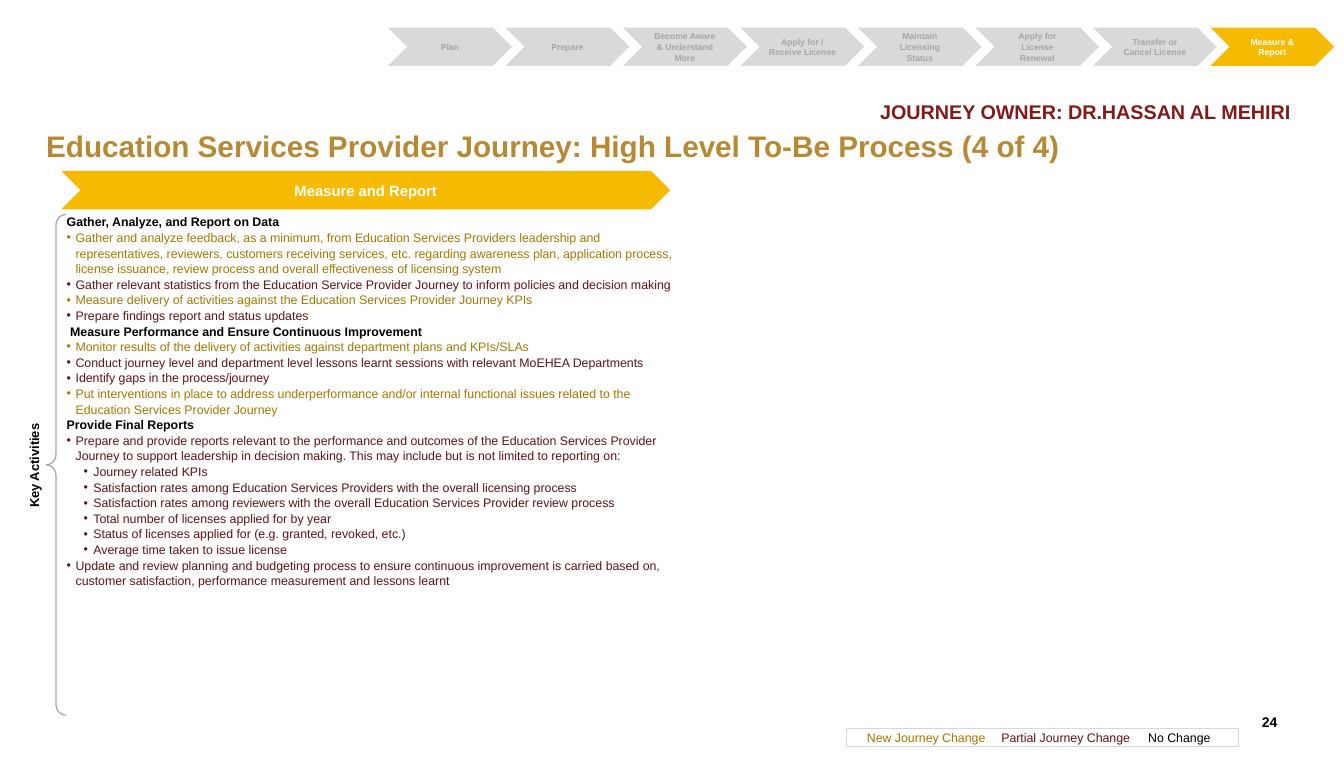
from dataclasses import dataclass

from lxml.etree import SubElement
from pptx import Presentation
from pptx.dml.color import RGBColor
from pptx.enum.shapes import MSO_SHAPE
from pptx.enum.text import MSO_ANCHOR, PP_ALIGN
from pptx.oxml.ns import qn
from pptx.util import Pt


@dataclass(frozen=True)
class Theme:
    font: str = "Arial"
    gold: str = "B68A35"
    red: str = "821A1A"
    fresh: str = "A37800"
    mixed: str = "611313"
    black: str = "000000"
    white: str = "FFFFFF"
    amber: str = "F6BB00"
    grey: str = "D9D9D9"
    faded: str = "A6A6A6"
    frame: str = "D8D8D8"
    brace: str = "A5A5A5"
    title: float = 24
    owner: float = 16
    banner: float = 12
    page: float = 11.3
    side: float = 10.5
    body: float = 10
    step: float = 7
    leading: float = 1.05


class Page:
    def __init__(self, slide, theme):
        self.slide = slide
        self.theme = theme

    def style(self, para, size, color, bold=False, align=PP_ALIGN.LEFT):
        para.alignment = align
        for run in para.runs:
            font = run.font
            font.name, font.size, font.bold = self.theme.font, Pt(size), bold
            font.color.rgb = RGBColor.from_string(color)

    def inset(self, frame, x, y):
        frame.margin_left = frame.margin_right = Pt(x)
        frame.margin_top = frame.margin_bottom = Pt(y)

    def text(self, box, words, size, color, bold=True, align=PP_ALIGN.LEFT,
             anchor=MSO_ANCHOR.TOP, pad=(0, 0), wrap=True, turn=0):
        item = self.slide.shapes.add_textbox(*map(Pt, box))
        item.rotation = turn
        frame = item.text_frame
        frame.word_wrap, frame.vertical_anchor = wrap, anchor
        self.inset(frame, *pad)
        frame.text = words
        self.style(frame.paragraphs[0], size, color, bold, align)

    def shape(self, kind, box, fill=None, line=None, width=1, adjust=()):
        item = self.slide.shapes.add_shape(kind, *map(Pt, box))
        item.shadow.inherit = False
        for i, value in enumerate(adjust):
            item.adjustments[i] = value
        if fill:
            item.fill.solid()
            item.fill.fore_color.rgb = RGBColor.from_string(fill)
        else:
            item.fill.background()
        if line:
            item.line.color.rgb = RGBColor.from_string(line)
            item.line.width = Pt(width)
        else:
            item.line.fill.background()
        return item

    def chevron(self, box, words, size, fill, color):
        item = self.shape(MSO_SHAPE.CHEVRON, box, fill, adjust=[0.5])
        frame = item.text_frame
        frame.word_wrap, frame.vertical_anchor = True, MSO_ANCHOR.MIDDLE
        self.inset(frame, 7.2, 3.6)
        frame.text = words
        para = frame.paragraphs[0]
        para.line_spacing = self.theme.leading
        self.style(para, size, color, True, PP_ALIGN.CENTER)

    def bullet(self, para, left, hang, color):
        props = para._p.get_or_add_pPr()
        props.set("marL", str(Pt(left)))
        props.set("indent", str(-Pt(hang)))
        if color:
            tint = SubElement(props, qn("a:buClr"))
            SubElement(tint, qn("a:srgbClr"), val=color)
            SubElement(props, qn("a:buFont"), typeface=self.theme.font)
            SubElement(props, qn("a:buChar"), char="•")

    def outline(self, box, rows):
        t = self.theme
        # Each kind of row: colour, bold, indent, hang, bullet colour
        kinds = {
            "head": (t.black, True, 0, 0, None),
            "shift": (t.black, True, 2.8, 0, None),
            "fresh": (t.fresh, False, 7.2, 7.2, t.fresh),
            "mixed": (t.mixed, False, 7.2, 7.2, t.mixed),
            "sub": (t.mixed, False, 21.6, 7.9, t.mixed),
        }
        frame = self.shape(MSO_SHAPE.RECTANGLE, box, t.white).text_frame
        frame.word_wrap, frame.vertical_anchor = True, MSO_ANCHOR.TOP
        self.inset(frame, 0, 0)
        frame.text = "\n".join(words for _, words in rows)
        for para, (kind, _) in zip(frame.paragraphs, rows):
            color, bold, left, hang, dot = kinds[kind]
            para.line_spacing = t.leading
            para.level = int(kind == "sub")
            self.style(para, t.body, color, bold)
            self.bullet(para, left, hang, dot)


STEPS = ["Plan", "Prepare", "Become Aware & Understand More",
         "Apply for / Receive License", "Maintain Licensing Status",
         "Apply for License Renewal", "Transfer or Cancel License",
         "Measure & Report"]

ROWS = [
    ("head", "Gather, Analyze, and Report on Data"),
    ("fresh", "Gather and analyze feedback, as a minimum, from Education "
              "Services Providers leadership and representatives, reviewers, "
              "customers receiving services, etc. regarding awareness plan, "
              "application process, license issuance, review process and "
              "overall effectiveness of licensing system"),
    ("mixed", "Gather relevant statistics from the Education Service Provider "
              "Journey to inform policies and decision making"),
    ("fresh", "Measure delivery of activities against the Education Services "
              "Provider Journey KPIs"),
    ("mixed", "Prepare findings report and status updates"),
    ("shift", "Measure Performance and Ensure Continuous Improvement"),
    ("fresh", "Monitor results of the delivery of activities against "
              "department plans and KPIs/SLAs"),
    ("mixed", "Conduct journey level and department level lessons learnt "
              "sessions with relevant MoEHEA Departments"),
    ("mixed", "Identify gaps in the process/journey"),
    ("fresh", "Put interventions in place to address underperformance and/or "
              "internal functional issues related to the Education Services "
              "Provider Journey"),
    ("head", "Provide Final Reports"),
    ("mixed", "Prepare and provide reports relevant to the performance and "
              "outcomes of the Education Services Provider Journey to support "
              "leadership in decision making. This may include but is not "
              "limited to reporting on:"),
    ("sub", "Journey related KPIs"),
    ("sub", "Satisfaction rates among Education Services Providers with the "
            "overall licensing process"),
    ("sub", "Satisfaction rates among reviewers with the overall Education "
            "Services Provider review process"),
    ("sub", "Total number of licenses applied for by year"),
    ("sub", "Status of licenses applied for (e.g. granted, revoked, etc.)"),
    ("sub", "Average time taken to issue license"),
    ("mixed", "Update and review planning and budgeting process to ensure "
              "continuous improvement is carried based on, customer "
              "satisfaction, performance measurement and lessons learnt"),
]


def main():
    deck = Presentation()
    deck.slide_width, deck.slide_height = Pt(1087.2), Pt(612)
    t = Theme()
    page = Page(deck.slides.add_slide(deck.slide_layouts[6]), t)

    # Title, owner and page number
    page.text((37.4, 103.7, 1003, 64),
              "Education Services Provider Journey: High Level To-Be Process (4 of 4)",
              t.title, t.gold)
    page.text((704.9, 77, 355, 26.6), "JOURNEY OWNER: DR.HASSAN AL MEHIRI",
              t.owner, t.red, pad=(7.2, 3.6), wrap=False)
    page.text((779, 567.4, 261.4, 32.4), "24", t.page, t.black,
              align=PP_ALIGN.RIGHT, anchor=MSO_ANCHOR.MIDDLE, pad=(7.2, 3.6))

    # Legend
    page.shape(MSO_SHAPE.RECTANGLE, (684.7, 589, 317.5, 14.4),
               line=t.frame, width=0.75)
    for left, width, words, color in [
            (701.3, 127.4, "New Journey Change", t.fresh),
            (810, 116.6, "Partial Journey Change", t.mixed),
            (928.8, 52.6, "No Change", t.black)]:
        page.text((left, 590.4, width, 12.2), words, t.body, color, bold=False)

    # Journey steps, the last one current
    for i, words in enumerate(STEPS):
        now = words == STEPS[-1]
        page.chevron((313.9 + 95.04 * i, 22.3, 100.1, 31), words, t.step,
                     t.amber if now else t.grey, t.white if now else t.faded)

    # Key activities
    page.shape(MSO_SHAPE.LEFT_BRACE, (37.4, 173.5, 15.8, 404.6),
               line=t.brace, adjust=[0.54, 0.5])
    page.text((-25.9, 362.9, 114.5, 27.4), "Key Activities", t.side, t.black,
              align=PP_ALIGN.CENTER, pad=(7.2, 3.6), turn=270)
    page.chevron((49.7, 138.2, 492.5, 31), "Measure and Report", t.banner,
                 t.amber, t.white)
    page.outline((54, 172.8, 491.8, 380.2), ROWS)

    deck.save("out.pptx")


if __name__ == "__main__":
    main()
